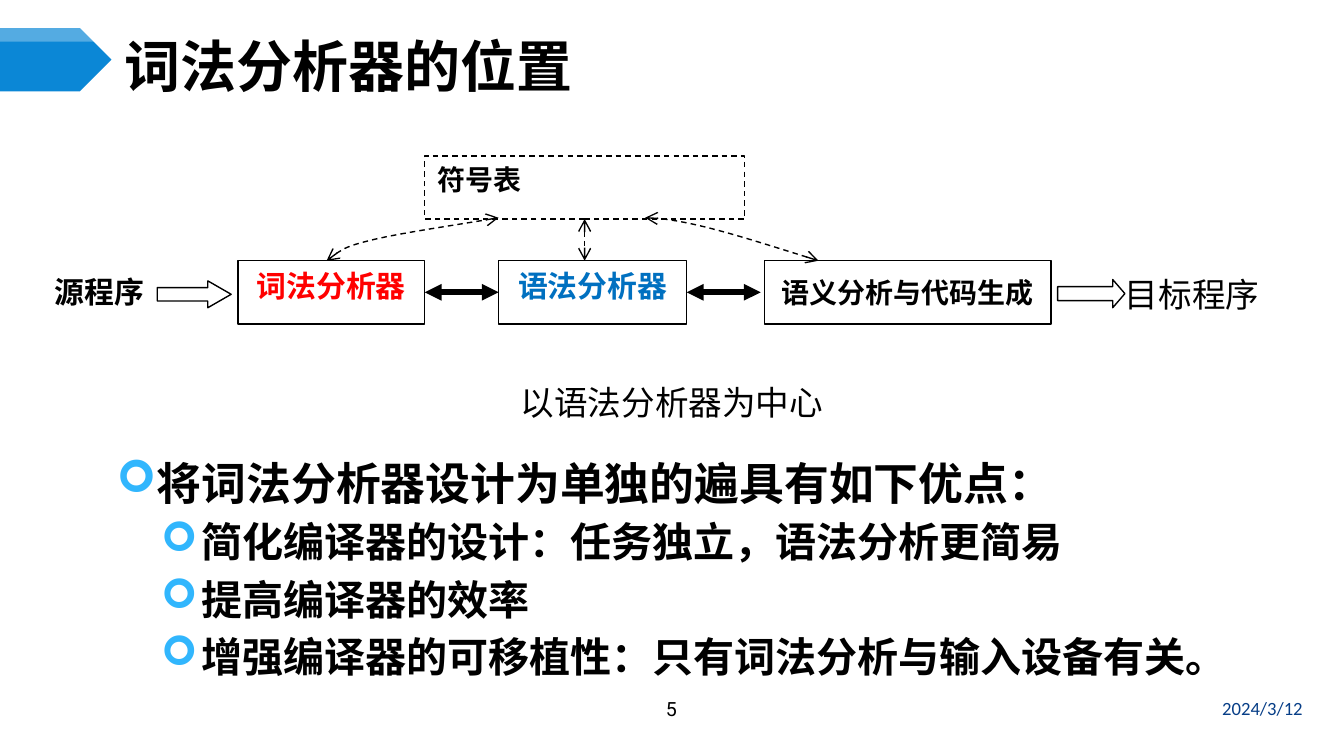
from pptx import Presentation
from pptx.util import Inches, Pt
from pptx.dml.color import RGBColor as Rgb
from pptx.enum.dml import MSO_LINE as Dash
from pptx.enum.shapes import MSO_SHAPE as Form, MSO_CONNECTOR as Link
from pptx.enum.text import PP_ALIGN as Align, MSO_ANCHOR as Anchor
from pptx.oxml.ns import qn
from lxml.etree import SubElement as Sub

HUE = {"black": "000000", "white": "FFFFFF", "red": "FF0000", "blue": "0070C0",
       "tag": "0B87D6", "mark": "31B6FD", "date": "073E87"}
COLS, ROWS = 100, 56.25  # grid of the slide
CELL = Inches(10) / COLS
CJK, SERIF = "Noto Sans CJK SC", "Times New Roman"


def place(box, x, y, w, h):
    """Cells inside a box, as slide lengths."""
    return [round(v * CELL) for v in (box[0] + x, box[1] + y, w, h)]


def tint(name):
    return Rgb.from_string(HUE[name])


def write(para, text, size, hue="black", bold=False, font=SERIF):
    run = para.add_run()
    run.text = text
    run.font.size, run.font.bold, run.font.name = Pt(size), bold, font
    run.font.color.rgb = tint(hue)
    Sub(run.font._element, qn("a:ea")).set("typeface", CJK)


def frame(shape, anchor=Anchor.TOP):
    text = shape.text_frame
    text.word_wrap, text.vertical_anchor = True, anchor
    text.margin_left = text.margin_right = Inches(0.1)
    text.margin_top = text.margin_bottom = Inches(0.05)
    return text


def stroke(line, width=0.75, dash=False, head=None):
    line.color.rgb, line.width = tint("black"), Pt(width)
    if dash:
        line.dash_style = Dash.DASH
    if head:
        for end in ("a:headEnd", "a:tailEnd"):
            Sub(line._get_or_add_ln(), qn(end)).set("type", head)


def shape(slide, box, cells, form=Form.RECTANGLE, fill="white", edge=False, dash=False):
    item = slide.shapes.add_shape(form, *place(box, *cells))
    item.shadow.inherit = False
    item.fill.solid()
    item.fill.fore_color.rgb = tint(fill)
    if edge:
        stroke(item.line, dash=dash)
    else:
        item.line.fill.background()
    return item


def label(slide, box, cells, text, size, hue="black", bold=True, align=Align.CENTER,
          anchor=Anchor.TOP, edge=False, dash=False):
    item = shape(slide, box, cells, edge=edge, dash=dash)
    para = frame(item, anchor).paragraphs[0]
    para.alignment = align
    write(para, text, size, hue, bold)
    return item


def link(slide, box, start, end, **style):
    x, y, *_ = place(box, *start, 0, 0)
    u, v, *_ = place(box, *end, 0, 0)
    item = slide.shapes.add_connector(Link.STRAIGHT, x, y, u, v)
    Sub(item._element.spPr, qn("a:effectLst"))
    stroke(item.line, **style)
    return item


def curve(slide, box, *knots):
    """Cubic curve: a start, then two handles and an end for each span."""
    spots = [place(box, x, y, 0, 0)[:2] for x, y in knots]
    build = slide.shapes.build_freeform(*spots[0])
    build.add_line_segments(spots[1:], close=False)
    item = build.convert_to_shape()
    steps = item._element.xpath(".//a:lnTo")
    for i in range(0, len(steps), 3):
        first, *rest = steps[i:i + 3]
        first.tag = qn("a:cubicBezTo")
        for step in rest:
            first.append(step[0])
            step.getparent().remove(step)
    item.shadow.inherit = False
    item.fill.background()
    stroke(item.line, dash=True, head="arrow")


def header(slide, box):
    # Pennant with a lighter band
    shape(slide, box, (0, 0, 8.3, 4.7), Form.PENTAGON, "tag")
    band = shape(slide, box, (0, 0, 8.3, 1), Form.PENTAGON)
    glow = band.fill._xPr.find(qn("a:solidFill"))[0]
    Sub(glow, qn("a:alpha")).set("val", "30000")
    # Title
    title = slide.shapes.title
    title.left, title.top, title.width, title.height = place(box, 8.3, 0.8, 86.7, 3.9)
    para = frame(title, Anchor.MIDDLE).paragraphs[0]
    para.alignment = Align.LEFT
    write(para, "词法分析器的位置", 30, bold=True, font=CJK)


def diagram(slide, box):
    # Stages
    label(slide, box, (79.2, 8.3, 12.8, 4.7), "目标程序", 18, bold=False)
    lexer = label(slide, box, (14.6, 7.8, 13.9, 4.7), "词法分析器", 16, "red", edge=True)
    parser = label(slide, box, (34, 7.8, 14, 4.7), "语法分析器", 16, "blue", edge=True)
    label(slide, box, (53.8, 7.8, 21.3, 4.7), "语义分析与代码生成", 15,
          anchor=Anchor.MIDDLE, edge=True)
    label(slide, box, (0, 8.3, 9.1, 4.7), "源程序", 16, align=Align.LEFT)
    table = label(slide, box, (28.5, 0, 23.8, 4.7), "符号表", 15,
                  align=Align.LEFT, edge=True, dash=True)
    # Caption
    label(slide, box, (32, 16.3, 29.8, 4.7), "以语法分析器为中心", 18, bold=False)
    # Block arrows in and out
    for cells, tip in (((8.6, 9.3, 5.5, 2), 0.87), ((75.6, 9.2, 5, 2.1), 0.43)):
        arrow = shape(slide, box, cells, Form.RIGHT_ARROW, edge=True)
        arrow.adjustments[1] = tip
    # Links between stages
    mid = 10.15
    join = link(slide, box, (28.5, mid), (34, mid), width=3, head="triangle")
    join.begin_connect(lexer, 3)
    join.end_connect(parser, 1)
    join = link(slide, box, (48, mid), (53.5, mid), width=3, head="triangle")
    join.begin_connect(parser, 3)
    # Links to the symbol table
    join = link(slide, box, (40.4, 4.7), (40.4, 7.8), dash=True, head="arrow")
    join.begin_connect(table, 2)
    curve(slide, box, (21.2, 7.8), (21.9, 7.2), (22.7, 6.7), (24.8, 6.2),
          (27, 5.7), (30.5, 5.2), (34, 4.6))
    curve(slide, box, (57.8, 7.8), (52.7, 6.2), (47.7, 4.6), (44.9, 4.6))


def points(slide, box):
    item = slide.shapes.add_textbox(*place(box, 0, 0, *box[2:]))
    text = frame(item)
    rows = [(0, "将词法分析器设计为单独的遍具有如下优点："),
            (1, "简化编译器的设计：任务独立，语法分析更简易"),
            (1, "提高编译器的效率"),
            (1, "增强编译器的可移植性：只有词法分析与输入设备有关。")]
    for i, (level, line) in enumerate(rows):
        para = text.add_paragraph() if i else text.paragraphs[0]
        props = para._p.get_or_add_pPr()
        props.set("marL", str(Inches(0.3 + 0.33 * level)))
        props.set("indent", str(Inches(-0.3)))
        Sub(Sub(props, qn("a:buClr")), qn("a:srgbClr")).set("val", HUE["mark"])
        Sub(props, qn("a:buFont")).set("typeface", "Wingdings")
        Sub(props, qn("a:buChar")).set("char", "➢")
        para.level = level
        para.line_spacing = Pt(26 if level else 28)
        if i:
            para.space_before = Pt(4.6)
        write(para, line, 22 if level else 24, bold=True)


def footer(slide, box):
    parts = [((12.9, 0, 41.4, 3), "2024/3/12", 10, "date", "Calibri", Align.RIGHT),
             ((0, 0, 12.7, 3), "5", 10.5, "black", "Roboto", Align.CENTER)]
    for cells, line, size, hue, font, align in parts:
        item = slide.shapes.add_textbox(*place(box, *cells))
        para = frame(item, Anchor.MIDDLE).paragraphs[0]
        para.alignment = align
        write(para, line, size, hue, font=font)


def main():
    deck = Presentation()
    deck.slide_width, deck.slide_height = round(COLS * CELL), round(ROWS * CELL)
    slide = deck.slides.add_slide(deck.slide_layouts[5])
    header(slide, (0, 2.1, 95, 4.7))
    diagram(slide, (3.1, 11.6, 92, 21))
    points(slide, (7.7, 33.5, 86, 18))
    footer(slide, (43.6, 51.2, 54.3, 3))
    deck.save("out.pptx")


if __name__ == "__main__":
    main()
